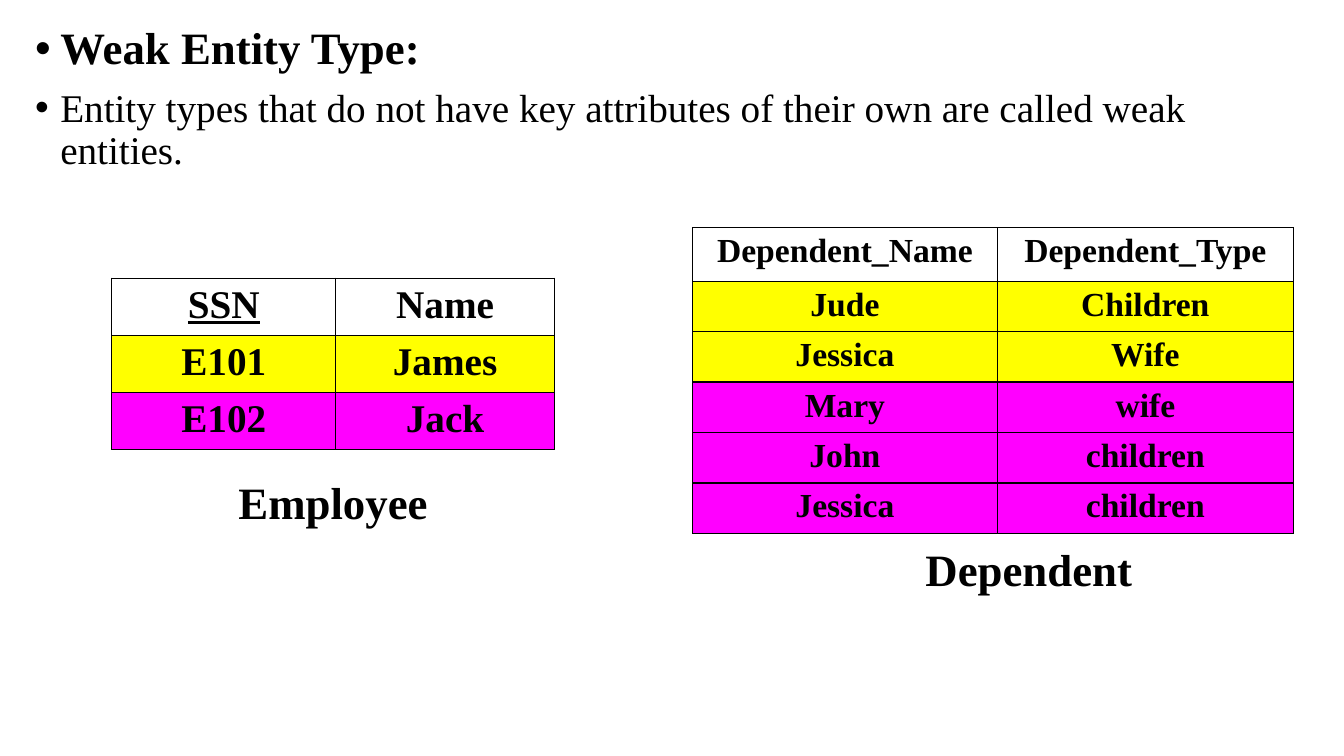
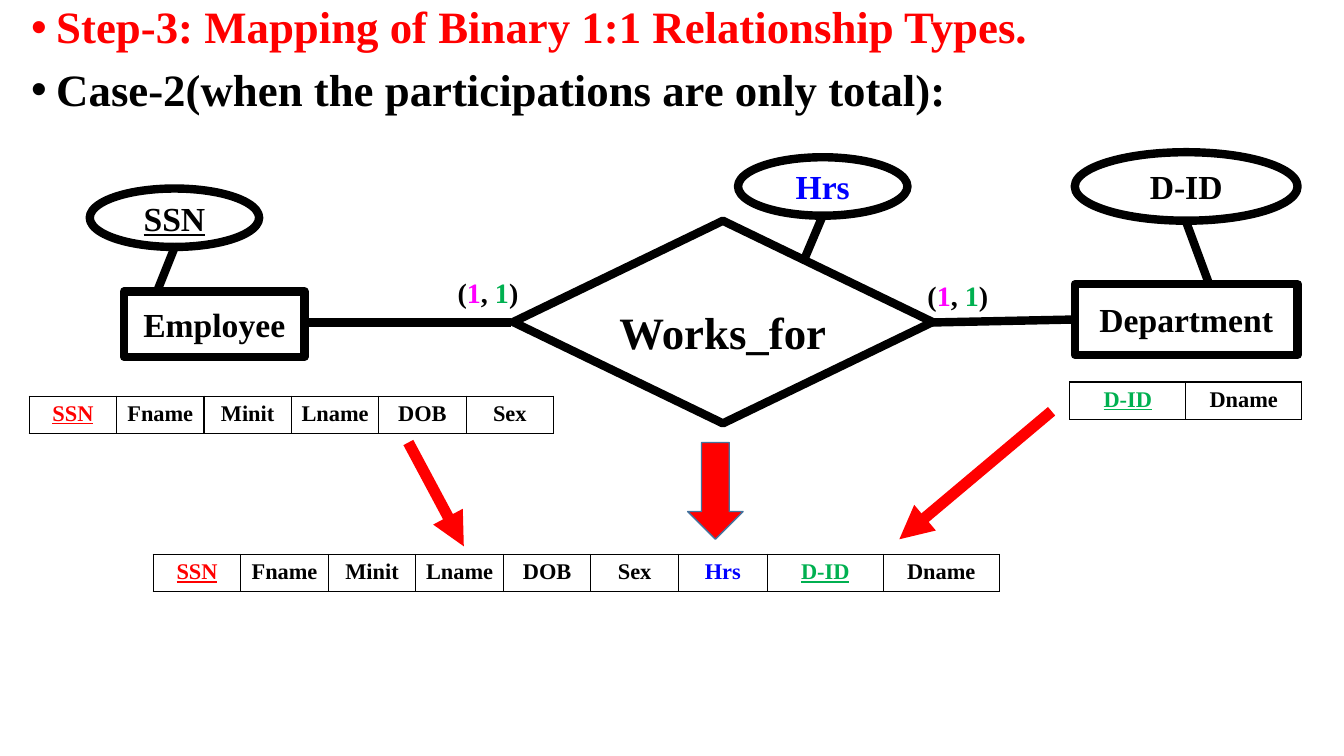
"""Build two slides on weak entity types and on mapping 1:1 relationships."""
from dataclasses import dataclass

from lxml.etree import SubElement
from pptx import Presentation
from pptx.dml.color import RGBColor
from pptx.enum.shapes import MSO_CONNECTOR, MSO_SHAPE
from pptx.enum.text import MSO_ANCHOR, PP_ALIGN
from pptx.oxml.ns import qn
from pptx.util import Pt

EMU_PER_PX = 9144
SLIDE_SIZE = (1333, 750)


@dataclass(frozen=True)
class Theme:
    font: str = "Times New Roman"
    black: str = "000000"
    white: str = "FFFFFF"
    red: str = "FF0000"
    green: str = "00B050"
    blue: str = "0000FF"
    yellow: str = "FFFF00"
    magenta: str = "FF00FF"
    steel: str = "43739E"
    heading: int = 32
    body: int = 28
    label: int = 24
    ratio: int = 20
    field: int = 16
    outline: int = 6
    arrow: int = 8


THEME = Theme()

WEAK_ENTITY_BULLETS = [
    ("Weak Entity Type:", THEME.heading, THEME.black, True),
    ("Entity types that do not have key attributes of their own are called weak entities.",
     THEME.body, THEME.black, False),
]
MAPPING_BULLETS = [
    ("Step-3: Mapping of Binary 1:1 Relationship Types.", THEME.heading, THEME.red, True),
    ("Case-2(when the participations are only total):", THEME.heading, THEME.black, True),
]

EMPLOYEE_ROWS = [
    (None, ("SSN", "Name")),
    (THEME.yellow, ("E101", "James")),
    (THEME.magenta, ("E102", "Jack")),
]
DEPENDENT_ROWS = [
    (None, ("Dependent_Name", "Dependent_Type")),
    (THEME.yellow, ("Jude", "Children")),
    (THEME.yellow, ("Jessica", "Wife")),
    (THEME.magenta, ("Mary", "wife")),
    (THEME.magenta, ("John", "children")),
    (THEME.magenta, ("Jessica", "children")),
]
CAPTIONS = [("Dependent", (894, 533, 253, 64)), ("Employee", (204, 466, 253, 64))]

LINKS = [
    ((155, 291), (173, 246)),
    ((1200, 284), (1176, 219)),
    ((303, 320), (507, 320)),
    ((921, 320), (1066, 317)),
    ((797, 259), (816, 214)),
]
NODES = [
    ("Employee", MSO_SHAPE.RECTANGLE, (123, 289, 179, 65), THEME.black),
    ("SSN", MSO_SHAPE.OVAL, (89, 187, 168, 58), THEME.black),
    ("Department", MSO_SHAPE.RECTANGLE, (1066, 282, 221, 70), THEME.black),
    ("D-ID", MSO_SHAPE.OVAL, (1066, 151, 221, 68), THEME.black),
    ("Hrs", MSO_SHAPE.OVAL, (732, 156, 168, 58), THEME.blue),
]
DIAMOND = (509, 219, 416, 201)
RELATIONSHIP = ("Works_for", (586, 297, 262, 64))
RATIO_SPANS = [("(", THEME.black), ("1", THEME.magenta), (", ", THEME.black),
               ("1", THEME.green), (")", THEME.black)]
RATIO_BOXES = [(437, 265, 94, 49), (903, 268, 94, 49)]

EMPLOYEE_FIELDS = ("SSN", "Fname", "Minit", "Lname", "DOB", "Sex")
DEPARTMENT_FIELDS = ("D-ID", "Dname")
FIELD_COLORS = {"SSN": THEME.red, "D-ID": THEME.green, "Hrs": THEME.blue}
KEYS = {"SSN", "D-ID"}
FIELD_HEIGHT = 37
SOURCE_STRIPS = [(EMPLOYEE_FIELDS, 29, 393, 520), (DEPARTMENT_FIELDS, 1061, 379, 230)]
MERGED_START = (152, 550)
MERGED_STRIPS = [(EMPLOYEE_FIELDS, 521), (("Hrs",), 88), (DEPARTMENT_FIELDS, 230)]
MERGE_ARROWS = [((405, 439), (460, 542)), ((1043, 408), (892, 535))]
DOWN_ARROW = (682, 439, 55, 96)


def px(*lengths):
    return [round(length * EMU_PER_PX) for length in lengths]


def style(font, size, color=THEME.black, bold=True, underline=False):
    font.name, font.size, font.bold = THEME.font, Pt(size), bold
    font.color.rgb = RGBColor.from_string(color)
    if underline:
        font.underline = True


def write(frame, text, size, color=THEME.black, underline=False):
    para = frame.paragraphs[0]
    para.text = text
    para.alignment = PP_ALIGN.CENTER
    style(para.font, size, color, underline=underline)


def add_box(page, bounds):
    frame = page.shapes.add_textbox(*px(*bounds)).text_frame
    frame.word_wrap = True
    return frame


def add_bullets(page, bounds, bullets):
    frame = add_box(page, bounds)
    indent, = px(25)
    for index, (text, size, color, bold) in enumerate(bullets):
        para = frame.add_paragraph() if index else frame.paragraphs[0]
        para.text = text
        para.line_spacing = 0.9
        if index:
            para.space_before = Pt(10)
        properties = para._p.get_or_add_pPr()
        properties.set("marL", str(indent))
        properties.set("indent", str(-indent))
        bullet_color = SubElement(properties, qn("a:buClr"))
        SubElement(bullet_color, qn("a:srgbClr"), val=color)
        SubElement(properties, qn("a:buFont"), typeface="Arial")
        SubElement(properties, qn("a:buChar"), char="•")
        style(para.font, size, color, bold)


def add_borders(cell):
    properties = cell._tc.get_or_add_tcPr()
    for position, side in enumerate(("a:lnL", "a:lnR", "a:lnT", "a:lnB")):
        border = properties.makeelement(qn(side), {"w": str(Pt(1))})
        fill = SubElement(border, qn("a:solidFill"))
        SubElement(fill, qn("a:srgbClr"), val=THEME.black)
        properties.insert(position, border)


def add_grid(page, left, top, widths, heights, rows, size, colors):
    bounds = px(left, top, sum(widths), sum(heights))
    table = page.shapes.add_table(len(rows), len(widths), *bounds).table
    table.first_row = table.horz_banding = False
    for column, width in zip(table.columns, px(*widths)):
        column.width = width
    for row, height, (fill, texts) in zip(table.rows, px(*heights), rows):
        row.height = height
        for cell, text in zip(row.cells, texts):
            cell.margin_left = cell.margin_right = px(5)[0]
            if fill:
                cell.fill.solid()
                cell.fill.fore_color.rgb = RGBColor.from_string(fill)
            else:
                cell.fill.background()
            add_borders(cell)
            write(cell.text_frame, text, size, colors.get(text, THEME.black), text in KEYS)


def add_strip(page, fields, left, top, width):
    widths = [width / len(fields)] * len(fields)
    add_grid(page, left, top, widths, [FIELD_HEIGHT], [(None, fields)],
             THEME.field, FIELD_COLORS)


def add_line(page, start, end, color, weight, arrow=False):
    line = page.shapes.add_connector(MSO_CONNECTOR.STRAIGHT, *px(*start, *end))
    line.line.color.rgb = RGBColor.from_string(color)
    line.line.width = Pt(weight)
    if arrow:
        SubElement(line.line._get_or_add_ln(), qn("a:tailEnd"), type="triangle")
    SubElement(line._element.spPr, qn("a:effectLst"))


def add_figure(page, kind, bounds, fill, outline, weight):
    shape = page.shapes.add_shape(kind, *px(*bounds))
    shape.shadow.inherit = False
    if fill:
        shape.fill.solid()
        shape.fill.fore_color.rgb = RGBColor.from_string(fill)
    else:
        shape.fill.background()
    shape.line.color.rgb = RGBColor.from_string(outline)
    shape.line.width = Pt(weight)
    return shape


def build_weak_entity(page):
    add_bullets(page, (25, 21, 1270, 704), WEAK_ENTITY_BULLETS)
    add_grid(page, 111, 276, (222, 217), (53, 53, 53), EMPLOYEE_ROWS, THEME.body, {})
    add_grid(page, 687, 226, (302, 294), [53] + [47] * 5, DEPENDENT_ROWS, THEME.label, {})
    for text, bounds in CAPTIONS:
        write(add_box(page, bounds), text, THEME.heading)


def build_mapping(page):
    add_bullets(page, (21, 0, 1270, 729), MAPPING_BULLETS)
    for start, end in LINKS:
        add_line(page, start, end, THEME.black, THEME.outline)
    for text, kind, bounds, color in NODES:
        node = add_figure(page, kind, bounds, THEME.white, THEME.black, THEME.outline)
        node.text_frame.vertical_anchor = MSO_ANCHOR.MIDDLE
        write(node.text_frame, text, THEME.label, color, kind == MSO_SHAPE.OVAL and text == "SSN")
    add_figure(page, MSO_SHAPE.DIAMOND, DIAMOND, None, THEME.black, THEME.outline)
    text, bounds = RELATIONSHIP
    write(add_box(page, bounds), text, THEME.heading)
    for bounds in RATIO_BOXES:
        frame = add_box(page, bounds)
        frame.vertical_anchor = MSO_ANCHOR.MIDDLE
        para = frame.paragraphs[0]
        para.alignment = PP_ALIGN.CENTER
        style(para.font, THEME.ratio)
        for text, color in RATIO_SPANS:
            span = para.add_run()
            span.text = text
            span.font.color.rgb = RGBColor.from_string(color)
    for strip in SOURCE_STRIPS:
        add_strip(page, *strip)
    left, top = MERGED_START
    for fields, width in MERGED_STRIPS:
        add_strip(page, fields, left, top, width)
        left += width
    for start, end in MERGE_ARROWS:
        add_line(page, start, end, THEME.red, THEME.arrow, arrow=True)
    add_figure(page, MSO_SHAPE.DOWN_ARROW, DOWN_ARROW, THEME.red, THEME.steel, 1)


def main():
    deck = Presentation()
    deck.slide_width, deck.slide_height = px(*SLIDE_SIZE)
    for build in (build_weak_entity, build_mapping):
        build(deck.slides.add_slide(deck.slide_layouts[6]))
    deck.save("out.pptx")


if __name__ == "__main__":
    main()
